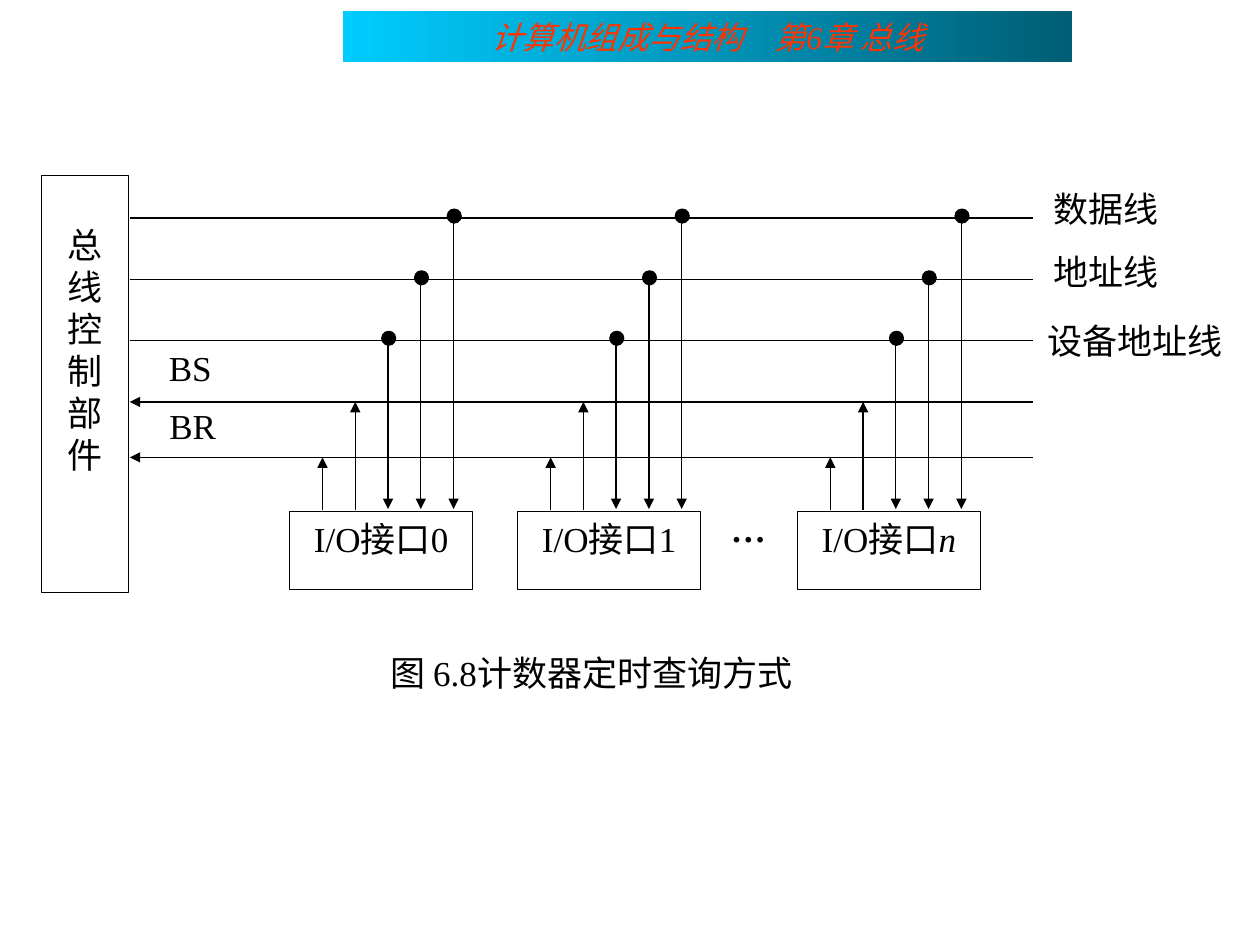
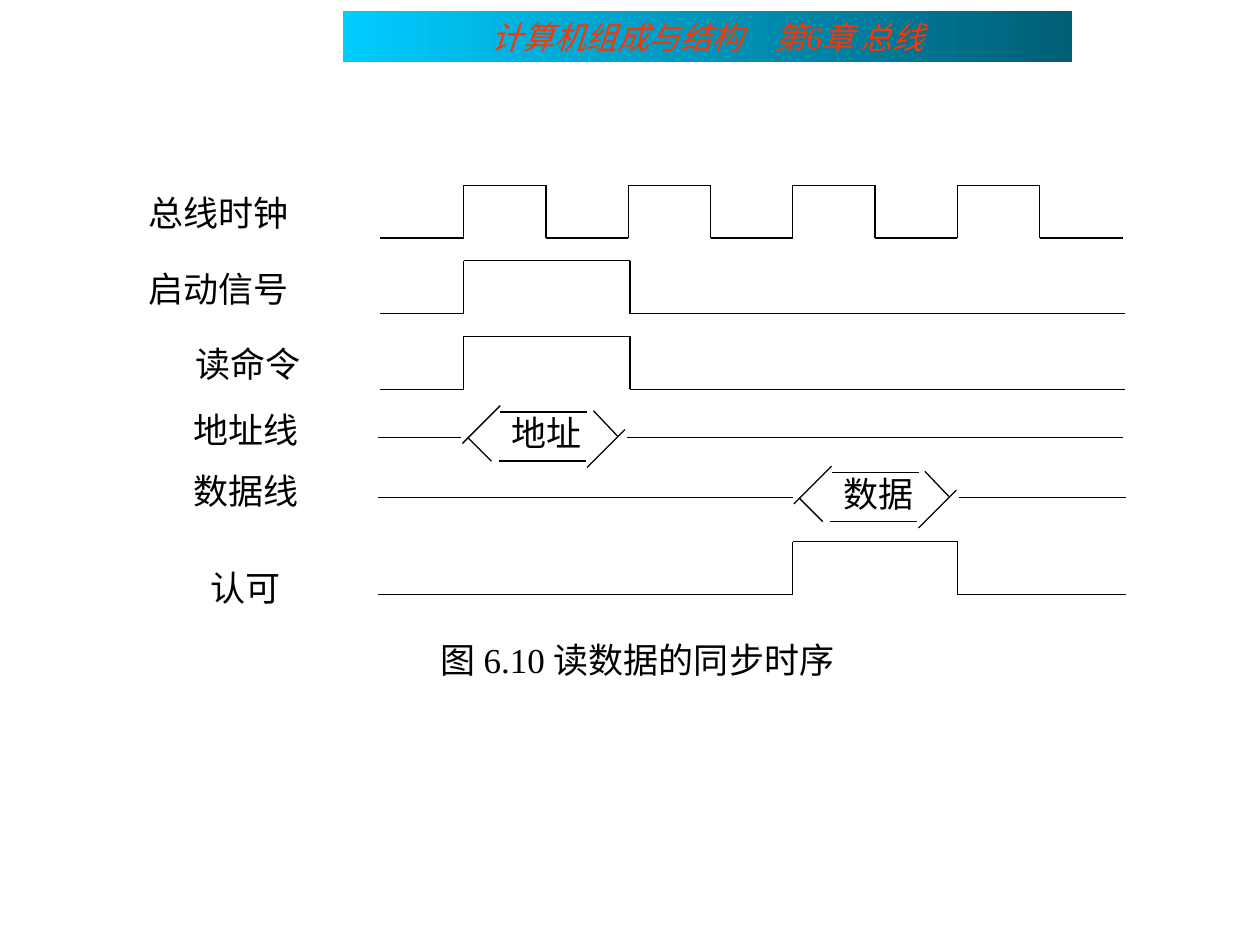
"""Build two bus slides: counter polling wiring and synchronous read timing."""
from itertools import pairwise

from lxml import etree
from pptx import Presentation
from pptx.dml.color import RGBColor
from pptx.enum.shapes import MSO_CONNECTOR, MSO_SHAPE
from pptx.enum.text import MSO_ANCHOR, PP_ALIGN
from pptx.oxml.ns import qn
from pptx.util import Inches, Pt

COLORS = {
    "ink": "000000",
    "paper": "FFFFFF",
    "title": "FF3300",
    "band_left": "00CCFF",
    "band_right": "005E75",
}
BODY = {"name": "Times New Roman", "size": Pt(20)}
TITLE = {"name": "Times New Roman", "size": Pt(18), "italic": True}
RECT, DOT = MSO_SHAPE.RECTANGLE, MSO_SHAPE.OVAL
LINE_WIDTH = Pt(0.75)


def add_block(slide, box, text="", kind=None, fill="paper", outline="ink",
              style=BODY, color="ink", align=PP_ALIGN.CENTER):
    place = [Inches(value) for value in box]
    if kind is None:
        block = slide.shapes.add_textbox(*place)
    else:
        block = slide.shapes.add_shape(kind, *place)
        block.shadow.inherit = False
        block.fill.solid()
        block.fill.fore_color.rgb = RGBColor.from_string(COLORS[fill])
        block.line.color.rgb = RGBColor.from_string(COLORS[outline])
        block.line.width = LINE_WIDTH
    frame = block.text_frame
    frame.word_wrap = True
    frame.vertical_anchor = MSO_ANCHOR.TOP
    paragraph = frame.paragraphs[0]
    paragraph.text = text
    paragraph.alignment = align
    for name, value in style.items():
        setattr(paragraph.font, name, value)
    paragraph.font.color.rgb = RGBColor.from_string(COLORS[color])
    return block


def add_line(slide, start, end, arrow=False):
    ends = [Inches(value) for value in (*start, *end)]
    wire = slide.shapes.add_connector(MSO_CONNECTOR.STRAIGHT, *ends)
    wire.line.color.rgb = RGBColor.from_string(COLORS["ink"])
    wire.line.width = LINE_WIDTH
    if arrow:
        etree.SubElement(wire.line._get_or_add_ln(), qn("a:tailEnd"), type="triangle")
    etree.SubElement(wire.element.spPr, qn("a:effectLst"))


prs = Presentation()
prs.slide_width, prs.slide_height = Inches(10), Inches(7.5)
layout = prs.slide_layouts[6]
for placeholder in list(layout.placeholders):
    layout.shapes.element.remove(placeholder.element)
polling = prs.slides.add_slide(layout)
timing = prs.slides.add_slide(layout)

band = add_block(polling, (2.72, 0.09, 5.79, 0.4), "计算机组成与结构　第6章 总线",
                 RECT, style=TITLE, color="title")
band.text_frame.vertical_anchor = MSO_ANCHOR.MIDDLE
band.line.fill.background()
band.fill.gradient()
band.fill.gradient_angle = 0
for stop, shade in zip(band.fill.gradient_stops, ("band_left", "band_right")):
    stop.color.rgb = RGBColor.from_string(COLORS[shade])
layout.shapes.element.append(band.element)

add_block(polling, (2.88, 5.12, 3.63, 0.68), "图 6.8计数器定时查询方式", RECT, outline="paper")
controller = add_block(polling, (0.33, 1.39, 0.69, 3.31), "总线控制部件", RECT)
controller.text_frame.margin_top = Inches(0.38)

BUS_LEFT, BUS_RIGHT = 1.03, 8.2
DATA, ADDRESS, DEVICE, BS, BR = 1.73, 2.22, 2.7, 3.19, 3.63
for y in (DATA, ADDRESS, DEVICE):
    add_line(polling, (BUS_LEFT, y), (BUS_RIGHT, y))
for y in (BS, BR):
    add_line(polling, (BUS_RIGHT, y), (BUS_LEFT, y), arrow=True)

INTERFACE_TOP = 4.06
TAP_GAP = 0.26
for left, number in ((2.3, "0"), (4.11, "1"), (6.33, "n")):
    interface = add_block(polling, (left, INTERFACE_TOP, 1.45, 0.62), "I/O接口", RECT)
    index = interface.text_frame.paragraphs[0].add_run()
    index.text = number
    index.font.italic = number == "n"
    for tap, y in enumerate((BR, BS, DEVICE, ADDRESS, DATA), 1):
        x = left + tap * TAP_GAP
        if y in (BR, BS):
            add_line(polling, (x, INTERFACE_TOP - 0.01), (x, y), arrow=True)
        else:
            add_line(polling, (x, y), (x, INTERFACE_TOP - 0.02), arrow=True)
            add_block(polling, (x - 0.05, y - 0.07, 0.11, 0.11), kind=DOT, fill="ink")

for label, left, top, width in (
    ("数据线", 8.2, 1.44, 1.16),
    ("地址线", 8.2, 1.94, 1.16),
    ("设备地址线", 8.2, 2.49, 1.62),
    ("BS", 0.93, 2.7, 1.16),
    ("BR", 0.95, 3.16, 1.16),
):
    add_block(polling, (left, top, width, 0.62), label)
add_block(polling, (5.36, 3.98, 1.16, 0.62), "…", style=BODY | {"bold": True})

add_block(timing, (2.73, 5.02, 4.66, 0.54), "图 6.10 读数据的同步时序", RECT, outline="paper")
for label, left, top, align in (
    ("总线时钟", 1.08, 1.47, PP_ALIGN.JUSTIFY),
    ("启动信号", 1.08, 2.07, PP_ALIGN.JUSTIFY),
    ("读命令", 1.08, 2.67, PP_ALIGN.CENTER),
    ("地址线", 1.06, 3.19, PP_ALIGN.CENTER),
    ("数据线", 1.06, 3.68, PP_ALIGN.CENTER),
    ("认可", 1.06, 4.45, PP_ALIGN.CENTER),
):
    add_block(timing, (left, top, 1.78, 0.5), label, align=align)

SWING = 0.42
FIRST_EDGE, HALF_CYCLE = 3.68, 0.653
clock_edges = [FIRST_EDGE + HALF_CYCLE * step for step in range(8)]
for low, start, edges, end in (
    (1.89, 3.02, clock_edges, 8.91),
    (2.49, 3.02, (3.68, 5), 8.93),
    (3.09, 3.02, (3.68, 5), 8.93),
    (4.72, 3, (6.29, 7.6), 8.94),
):
    points = [(start, low)]
    for step, x in enumerate(edges):
        levels = (low - SWING, low) if step % 2 else (low, low - SWING)
        points += [(x, y) for y in (levels[::-1] if step % 2 == 0 and levels[0] != low
                                    else levels)]
    points.append((end, low))
    for here, there in pairwise(points):
        add_line(timing, here, there)

VALID_WINDOW = (
    ((0.04, 0), (0.23, 0.19)),
    ((0, 0.05), (0.3, -0.25)),
    ((0.3, -0.2), (0.99, -0.2)),
    ((1.04, -0.21), (1.23, -0.01)),
    ((0.99, 0.24), (1.29, -0.06)),
    ((0.29, 0.19), (0.98, 0.19)),
)
for label, left, middle, end in (("地址", 3.67, 3.47, 8.91), ("数据", 6.3, 3.95, 8.94)):
    add_line(timing, (3, middle), (left - 0.01, middle))
    add_line(timing, (left + 1.31, middle), (end, middle))
    for (x1, y1), (x2, y2) in VALID_WINDOW:
        add_line(timing, (left + x1, middle + y1), (left + x2, middle + y2))
    add_block(timing, (left - 0.22, middle - 0.25, 1.78, 0.5), label)

prs.save("out.pptx")
